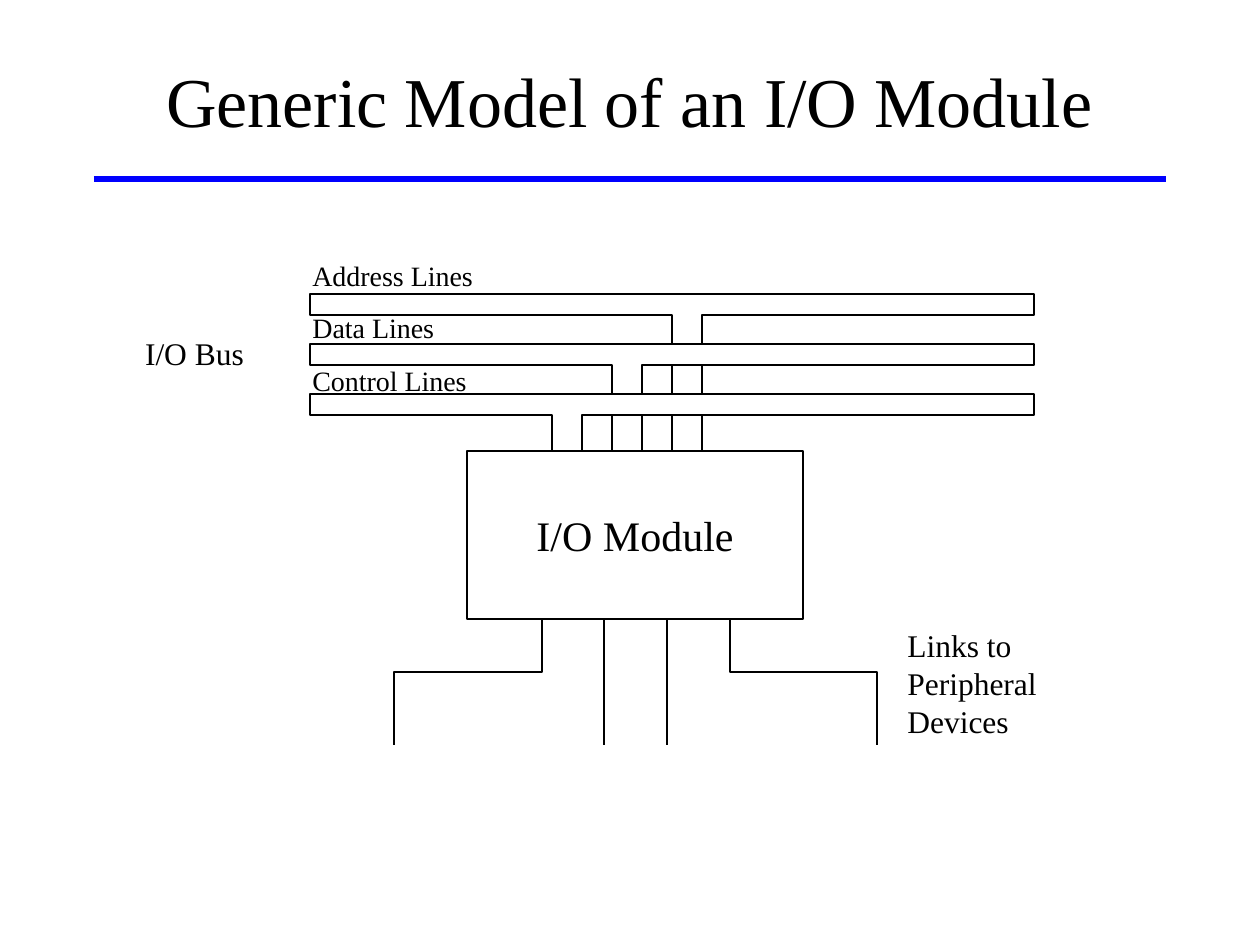
from dataclasses import dataclass

from lxml.etree import SubElement
from pptx import Presentation
from pptx.dml.color import RGBColor
from pptx.enum.shapes import MSO_CONNECTOR, MSO_SHAPE
from pptx.enum.text import MSO_ANCHOR, PP_ALIGN
from pptx.oxml.ns import qn
from pptx.util import Pt

EMU_PER_PIXEL = 914400 / 126


def px(length):
    return round(length * EMU_PER_PIXEL)


@dataclass(frozen=True)
class Theme:
    font: str = "Times New Roman"
    ink: RGBColor = RGBColor(0, 0, 0)
    paper: RGBColor = RGBColor(255, 255, 255)
    rule: RGBColor = RGBColor(0, 0, 255)
    title: int = 40
    module: int = 24
    label: int = 18
    bus: int = 16
    thin: float = 0.75
    thick: float = 3


class Diagram:
    def __init__(self, slide, theme):
        self.slide = slide
        self.theme = theme

    def add_lines(self, frame, lines, size, align, anchor, wrap=False):
        frame.word_wrap = wrap
        frame.vertical_anchor = anchor
        for index, line in enumerate(lines):
            paragraph = frame.add_paragraph() if index else frame.paragraphs[0]
            paragraph.alignment = align
            run = paragraph.add_run()
            run.text = line
            run.font.name = self.theme.font
            run.font.size = Pt(size)
            run.font.color.rgb = self.theme.ink

    def text(self, box, lines, size, align=PP_ALIGN.LEFT, anchor=MSO_ANCHOR.TOP, wrap=False):
        shape = self.slide.shapes.add_textbox(*map(px, box))
        self.add_lines(shape.text_frame, lines, size, align, anchor, wrap)

    def style(self, shape, filled=True):
        shape.shadow.inherit = False
        if filled:
            shape.fill.solid()
            shape.fill.fore_color.rgb = self.theme.paper
        else:
            shape.fill.background()
        shape.line.color.rgb = self.theme.ink
        shape.line.width = Pt(self.theme.thin)

    def box(self, box, label, size):
        shape = self.slide.shapes.add_shape(MSO_SHAPE.RECTANGLE, *map(px, box))
        self.style(shape)
        self.add_lines(shape.text_frame, [label], size, PP_ALIGN.CENTER, MSO_ANCHOR.MIDDLE)

    def outline(self, points, closed):
        builder = self.slide.shapes.build_freeform(*points[0], scale=EMU_PER_PIXEL)
        builder.add_line_segments(points[1:], close=closed)
        self.style(builder.convert_to_shape(), filled=closed)

    def line(self, start, end, color, width):
        connector = self.slide.shapes.add_connector(
            MSO_CONNECTOR.STRAIGHT, *map(px, (*start, *end)))
        connector.line.color.rgb = color
        connector.line.width = Pt(width)
        SubElement(connector._element.spPr, qn("a:effectLst"))


presentation = Presentation()
presentation.slide_width = px(1260)
presentation.slide_height = px(945)
theme = Theme()
diagram = Diagram(presentation.slides.add_slide(presentation.slide_layouts[6]), theme)

# Title and rule
diagram.line((94, 179), (1166, 179), theme.rule, theme.thick)
diagram.text((94, 21, 1071, 158), ["Generic Model of an I/O Module"], theme.title,
             PP_ALIGN.CENTER, MSO_ANCHOR.MIDDLE, wrap=True)

# Module
module_left, module_top, module_width, module_height = 467, 451, 336, 168
module_bottom = module_top + module_height
diagram.box((module_left, module_top, module_width, module_height), "I/O Module", theme.module)

# Buses, each with a stub down to the module
bus_left, bus_right, bus_height, stub_width = 310, 1034, 21, 30
for index in range(3):
    top = 294 + 50 * index
    bottom = top + bus_height
    stub_left = 672 - 60 * index
    stub_right = stub_left + stub_width
    diagram.outline([
        (stub_left, bottom), (bus_left, bottom), (bus_left, top), (bus_right, top),
        (bus_right, bottom), (stub_right, bottom), (stub_right, module_top),
        (stub_left, module_top),
    ], closed=True)

# Bus labels
diagram.text((132, 328, 125, 50), ["I/O Bus"], theme.label, PP_ALIGN.CENTER)
bus_labels = [("Address Lines", 186), ("Data Lines", 147), ("Control Lines", 180)]
for index, (label, width) in enumerate(bus_labels):
    diagram.text((300, 252 + round(52.5 * index), width, 47), [label], theme.bus)

# Links to the devices
link_bend, link_bottom = 672, 745
for inner, outer in ((542, 394), (730, 877)):
    diagram.outline([(inner, module_bottom), (inner, link_bend),
                     (outer, link_bend), (outer, link_bottom)], closed=False)
for x in (604, 667):
    diagram.line((x, module_bottom), (x, link_bottom), theme.ink, theme.thin)
diagram.text((895, 620, 155, 126), ["Links to", "Peripheral", "Devices"], theme.label)

presentation.save("out.pptx")
